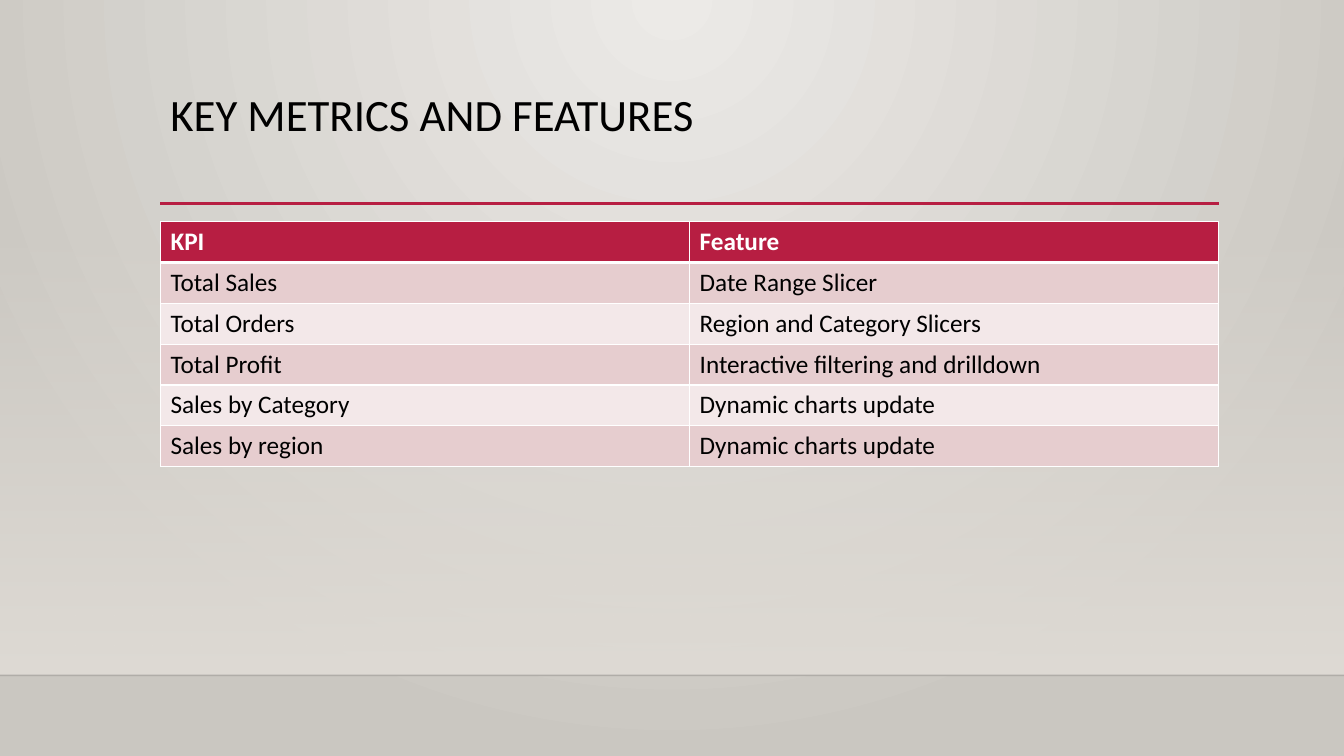
import pptx
import pptx.dml.color
import pptx.enum.shapes
import pptx.enum.text
import pptx.oxml
import pptx.oxml.ns
import pptx.util

RGBColor = pptx.dml.color.RGBColor
CRIMSON = RGBColor(0xB7, 0x1E, 0x42)
BLACK = RGBColor(0x00, 0x00, 0x00)
WHITE = RGBColor(0xFF, 0xFF, 0xFF)
BAND_DARK = RGBColor(0xE6, 0xCD, 0xCF)
BAND_LIGHT = RGBColor(0xF3, 0xE8, 0xE9)
WALL_CENTRE = RGBColor(0xEC, 0xEA, 0xE7)
WALL_EDGE = RGBColor(0xCA, 0xC7, 0xC1)
HAZE = RGBColor(0xDF, 0xDB, 0xD5)

FONT = "Calibri"
SLIDE_WIDTH = pptx.util.Inches(13.33)
SLIDE_HEIGHT = pptx.util.Inches(7.5)
GRID_COLUMNS, GRID_ROWS = 160, 90
LEFT, CONTENT_WIDTH = 19.1, 126
TITLE_TOP, RULE_ROW, TABLE_TOP, FLOOR_ROW = 10.5, 24.25, 26.4, 80.4
TABLE_ROW = 4.86

METRICS = [
    ("KPI", "Feature"),
    ("Total Sales", "Date Range Slicer"),
    ("Total Orders", "Region and Category Slicers"),
    ("Total Profit", "Interactive filtering and drilldown"),
    ("Sales by Category", "Dynamic charts update"),
    ("Sales by region", "Dynamic charts update"),
]


def columns(count):
    """Return the length of a number of grid columns."""
    return round(SLIDE_WIDTH * count / GRID_COLUMNS)


def rows(count):
    """Return the length of a number of grid rows."""
    return round(SLIDE_HEIGHT * count / GRID_ROWS)


def drawing(markup):
    """Parse one drawing element, with its namespace declared."""
    tag, rest = markup.split(" ", 1)
    return pptx.oxml.parse_xml(f"{tag} {pptx.oxml.ns.nsdecls('a')} {rest}")


def set_gradient(holder, first, last, direction, first_alpha=100):
    """Replace the solid fill of an element by a two-stop gradient."""
    gradient = drawing(
        f'<a:gradFill rotWithShape="1"><a:gsLst>'
        f'<a:gs pos="0"><a:srgbClr val="{first}"><a:alpha val="{first_alpha * 1000}"/></a:srgbClr></a:gs>'
        f'<a:gs pos="100000"><a:srgbClr val="{last}"/></a:gs>'
        f'</a:gsLst>{direction}</a:gradFill>'
    )
    solid = holder.find(pptx.oxml.ns.qn("a:solidFill"))
    holder.replace(solid, gradient)


def paint_wall(slide):
    """Give the slide its round glow and the haze above the floor."""
    slide.background.fill.solid()
    wall = next(slide.element.iter(pptx.oxml.ns.qn("p:bgPr")))
    glow = '<a:path path="circle"><a:fillToRect l="43000" t="0" r="43000" b="100000"/></a:path>'
    set_gradient(wall, WALL_CENTRE, WALL_EDGE, glow)

    haze = slide.shapes.add_shape(
        pptx.enum.shapes.MSO_SHAPE.RECTANGLE,
        0, rows(TABLE_TOP), SLIDE_WIDTH, rows(FLOOR_ROW - TABLE_TOP),
    )
    haze.shadow.inherit = False
    haze.line.fill.background()
    haze.fill.solid()
    set_gradient(haze.element.spPr, HAZE, HAZE, '<a:lin ang="5400000" scaled="0"/>', 0)


def add_rule(slide, left, row, width, color, weight, alpha=100):
    """Draw a horizontal line."""
    rule = slide.shapes.add_connector(
        pptx.enum.shapes.MSO_CONNECTOR.STRAIGHT,
        columns(left), rows(row), columns(left + width), rows(row),
    )
    rule.line.color.rgb = color
    rule.line.width = pptx.util.Pt(weight)
    properties = rule.element.spPr
    tint = next(properties.iter(pptx.oxml.ns.qn("a:srgbClr")))
    tint.append(drawing(f'<a:alpha val="{alpha * 1000}"/>'))
    properties.append(drawing("<a:effectLst />"))


def add_run(paragraph, words, size, color, bold=False):
    """Add one formatted run to a paragraph."""
    run = paragraph.add_run()
    run.text = words
    run.font.name = FONT
    run.font.size = pptx.util.Pt(size)
    run.font.color.rgb = color
    run.font.bold = bold


def add_title(slide, words):
    """Place the slide's heading above the rule."""
    title = slide.shapes.add_textbox(
        columns(LEFT), rows(TITLE_TOP), columns(CONTENT_WIDTH), rows(RULE_ROW - TITLE_TOP)
    )
    frame = title.text_frame
    frame.word_wrap = True
    frame.vertical_anchor = pptx.enum.text.MSO_ANCHOR.TOP
    frame.paragraphs[0].line_spacing = 0.9
    add_run(frame.paragraphs[0], words, 32, BLACK)


def set_borders(cell, top, bottom):
    """Draw white borders around a cell, with the given top and bottom weights."""
    weights = {"lnL": 1, "lnR": 1, "lnT": top, "lnB": bottom}
    properties = cell._tc.get_or_add_tcPr()
    for position, (side, weight) in enumerate(weights.items()):
        properties.insert(position, drawing(
            f'<a:{side} w="{pptx.util.Pt(weight)}"><a:solidFill>'
            f'<a:srgbClr val="{WHITE}"/></a:solidFill></a:{side}>'
        ))


def add_metrics_table(slide, metrics):
    """Build the banded table under its heading row."""
    table = slide.shapes.add_table(
        len(metrics), len(metrics[0]),
        columns(LEFT), rows(TABLE_TOP), columns(CONTENT_WIDTH), rows(TABLE_ROW * len(metrics)),
    ).table
    for index, entries in enumerate(metrics):
        heading = index == 0
        band = BAND_DARK if index % 2 else BAND_LIGHT
        for column, words in enumerate(entries):
            cell = table.cell(index, column)
            cell.fill.solid()
            cell.fill.fore_color.rgb = CRIMSON if heading else band
            set_borders(cell, 3 if index == 1 else 1, 3 if heading else 1)
            add_run(cell.text_frame.paragraphs[0], words, 18, WHITE if heading else BLACK, heading)


def main():
    """Build the slide and save it."""
    deck = pptx.Presentation()
    deck.slide_width, deck.slide_height = SLIDE_WIDTH, SLIDE_HEIGHT
    slide = deck.slides.add_slide(deck.slide_layouts[6])
    paint_wall(slide)
    add_rule(slide, 0, FLOOR_ROW, GRID_COLUMNS, BLACK, 1, alpha=20)
    add_rule(slide, LEFT, RULE_ROW, CONTENT_WIDTH, CRIMSON, 2.5)
    add_title(slide, "KEY METRICS AND FEATURES")
    add_metrics_table(slide, METRICS)
    deck.save("out.pptx")


if __name__ == "__main__":
    main()
